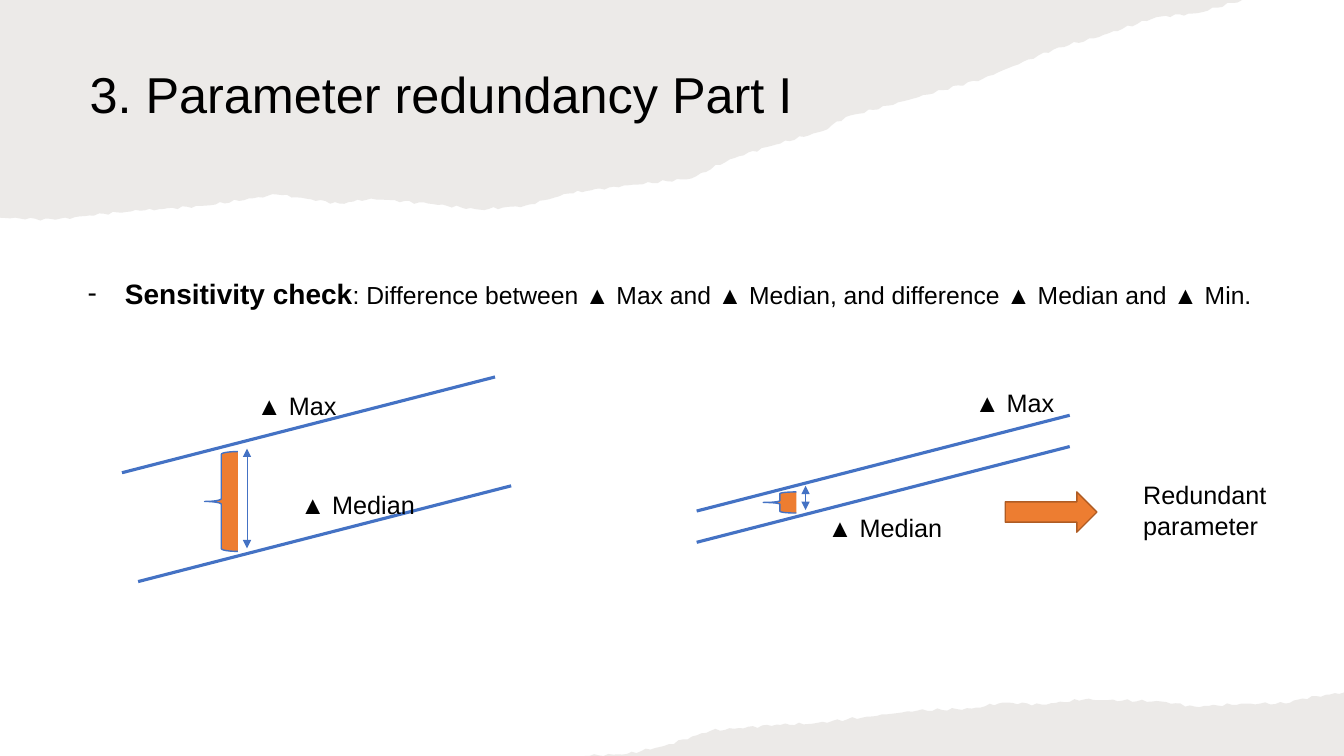
from dataclasses import dataclass
from itertools import pairwise
from math import ceil, sin

from lxml.etree import SubElement
from pptx import Presentation
from pptx.dml.color import RGBColor
from pptx.enum.shapes import MSO_CONNECTOR as CONNECTOR, MSO_SHAPE as SHAPE
from pptx.enum.text import MSO_ANCHOR as ANCHOR, MSO_AUTO_SIZE as AUTO_SIZE
from pptx.oxml.ns import qn
from pptx.util import Inches, Pt

PAPER = RGBColor(0x82, 0x76, 0x6A)
BLACK = RGBColor(0, 0, 0)
BLUE = RGBColor(0x44, 0x72, 0xC4)
ORANGE = RGBColor(0xED, 0x7D, 0x31)
DARK_ORANGE = RGBColor(0xAF, 0x5C, 0x24)

SLIDE_WIDTH, SLIDE_HEIGHT = 13.33, 7.5
LINE_RUN, LINE_RISE = 3.7, 0.95
BRACE_WIDTH, BRACE_OFFSET = 0.33, 0.42
TEAR_STEP, TEAR_DEPTH = 0.05, 0.015

# Bends of each torn edge; the roughness between them is worked out.
TOP_BENDS = [
    (12.32, 0), (11.88, 0.13), (11.47, 0.17), (10.85, 0.38), (10.5, 0.47),
    (9.75, 0.78), (8.66, 1.09), (8.39, 1.16), (8.16, 1.3), (7.6, 1.46),
    (7.24, 1.58), (6.86, 1.77), (6.04, 1.86), (5.64, 1.92), (5.21, 2.04),
    (4.76, 2.08), (4.25, 2.02), (3.68, 1.97), (3.37, 2.02), (2.75, 1.93),
    (2.04, 2.04), (1.39, 2.09), (1.03, 2.12), (0.55, 2.18), (0, 2.16),
]
BOTTOM_BENDS = [
    (5.8, 7.5), (6.22, 7.48), (6.59, 7.4), (7.05, 7.25), (7.7, 7.19),
    (8.06, 7.18), (8.6, 7.11), (9.1, 7.05), (9.64, 7.03), (9.95, 6.97),
    (10.33, 6.99), (10.75, 6.94), (11.52, 6.96), (11.85, 7.01), (12.4, 6.98),
    (12.75, 6.98), (12.92, 6.93), (13.33, 6.87),
]


@dataclass
class LinePair:
    line_starts: list
    max_label: tuple
    median_label: tuple
    gap_x: float
    gap_top: float
    gap_bottom: float
    brace_top: float
    brace_height: float


WIDE_PAIR = LinePair(
    line_starts=[(1.21, 4.69), (1.37, 5.77)],
    max_label=(2.45, 3.82), median_label=(2.88, 4.81),
    gap_x=2.45, gap_top=4.45, gap_bottom=5.44,
    brace_top=4.48, brace_height=0.99)
NARROW_PAIR = LinePair(
    line_starts=[(6.91, 5.07), (6.91, 5.38)],
    max_label=(9.57, 3.79), median_label=(8.11, 5.03),
    gap_x=7.99, gap_top=4.82, gap_bottom=5.06,
    brace_top=4.88, brace_height=0.21)


def torn_edge(bends):
    """Join the bends by short steps that waver up and down like torn paper."""
    edge = [bends[0]]
    for (x1, y1), (x2, y2) in pairwise(bends):
        steps = ceil(abs(x2 - x1) / TEAR_STEP)
        for step in range(1, steps + 1):
            x = x1 + (x2 - x1) * step / steps
            y = y1 + (y2 - y1) * step / steps
            if step < steps:
                y += TEAR_DEPTH * (sin(37 * x) + sin(83 * x)) / 2
            edge.append((x, min(max(y, 0), SLIDE_HEIGHT)))
    return edge


def add_torn_paper(slide, bends, corner):
    """Fill the area between a torn edge and a corner of the slide."""
    outline = [(Inches(x), Inches(y)) for x, y in [corner, *torn_edge(bends)]]
    builder = slide.shapes.build_freeform(*outline[0])
    builder.add_line_segments(outline[1:])
    shape = builder.convert_to_shape()
    shape.shadow.inherit = False
    shape.fill.solid()
    shape.fill.fore_color.rgb = PAPER
    shape.line.fill.background()
    color = shape._element.spPr.find(qn("a:solidFill"))[0]
    SubElement(color, qn("a:alpha"), val="15000")


def set_format(target, values):
    for name, value in values.items():
        setattr(target, name, value)


def add_text(shapes, box, runs, anchor=ANCHOR.TOP, wrap=True):
    """Add a one-paragraph box; runs are (text, size, bold). Return the paragraph."""
    frame = shapes.add_textbox(*map(Inches, box)).text_frame
    set_format(frame, {"word_wrap": wrap, "auto_size": AUTO_SIZE.NONE,
                       "vertical_anchor": anchor})
    paragraph = frame.paragraphs[0]
    for text, size, bold in runs:
        run = paragraph.add_run()
        run.text = text
        run.font.color.rgb = BLACK
        set_format(run.font, {"name": "Arial", "size": Pt(size), "bold": bold})
    return paragraph


def add_label(shapes, text, box, wrap=False):
    add_text(shapes, box, [(text, 18, False)], wrap=wrap)


def add_dash_bullet(paragraph, indent):
    properties = paragraph._p.get_or_add_pPr()
    properties.set("marL", str(Inches(indent)))
    properties.set("indent", str(-Inches(indent)))
    SubElement(properties, qn("a:buFont"), typeface="Arial")
    SubElement(properties, qn("a:buChar"), char="-")


def add_line(shapes, start, end, width, arrowheads=False):
    connector = shapes.add_connector(
        CONNECTOR.STRAIGHT, *map(Inches, (*start, *end)))
    connector.line.color.rgb = BLUE
    connector.line.width = Pt(width)
    if arrowheads:
        for tag in ("a:headEnd", "a:tailEnd"):
            SubElement(connector.line._get_or_add_ln(), qn(tag), type="triangle")
    SubElement(connector._element.spPr, qn("a:effectLst"))


def add_orange_shape(shapes, kind, box, outline):
    shape = shapes.add_shape(kind, *map(Inches, box))
    shape.shadow.inherit = False
    shape.fill.solid()
    shape.fill.fore_color.rgb = ORANGE
    shape.line.color.rgb = outline
    shape.line.width = Pt(1)


def add_line_pair(slide, pair):
    """Group two parallel lines with their labels, gap arrow and brace."""
    shapes = slide.shapes.add_group_shape().shapes
    for left, bottom in pair.line_starts:
        add_line(shapes, (left, bottom), (left + LINE_RUN, bottom - LINE_RISE), 2.25)
    add_label(shapes, "▲ Max", (*pair.max_label, 1, 0.4))
    add_label(shapes, "▲ Median", (*pair.median_label, 1.35, 0.4))
    add_line(shapes, (pair.gap_x, pair.gap_top), (pair.gap_x, pair.gap_bottom),
             0.5, arrowheads=True)
    brace = (pair.gap_x - BRACE_OFFSET, pair.brace_top,
             BRACE_WIDTH, pair.brace_height)
    add_orange_shape(shapes, SHAPE.LEFT_BRACE, brace, BLUE)


def add_heading(slide):
    title = add_text(slide.shapes, (0.79, 0.56, 8.37, 0.81),
                     [("3. Parameter redundancy Part I", 36, False)], ANCHOR.MIDDLE)
    title.line_spacing = 0.9


def add_sensitivity_check(slide):
    check = add_text(slide.shapes, (0.77, 2.69, 11.78, 0.44), [
        ("Sensitivity check", 20, True),
        (": Difference between ▲ Max and ▲ Median, "
         "and difference ▲ Median and ▲ Min.", 17.6, False)])
    add_dash_bullet(check, 0.37)


def add_conclusion(slide):
    arrow = (9.97, 4.88, 0.91, 0.4)
    add_orange_shape(slide.shapes, SHAPE.RIGHT_ARROW, arrow, DARK_ORANGE)
    add_label(slide.shapes, "Redundant parameter", (11.24, 4.71, 1.57, 0.71), wrap=True)


def main():
    presentation = Presentation()
    presentation.slide_width = Inches(SLIDE_WIDTH)
    presentation.slide_height = Inches(SLIDE_HEIGHT)
    slide = presentation.slides.add_slide(presentation.slide_layouts[6])

    add_torn_paper(slide, TOP_BENDS, corner=(0, 0))
    add_torn_paper(slide, BOTTOM_BENDS, corner=(SLIDE_WIDTH, SLIDE_HEIGHT))
    add_heading(slide)
    add_sensitivity_check(slide)
    for pair in (WIDE_PAIR, NARROW_PAIR):
        add_line_pair(slide, pair)
    add_conclusion(slide)
    presentation.save("out.pptx")


if __name__ == "__main__":
    main()
